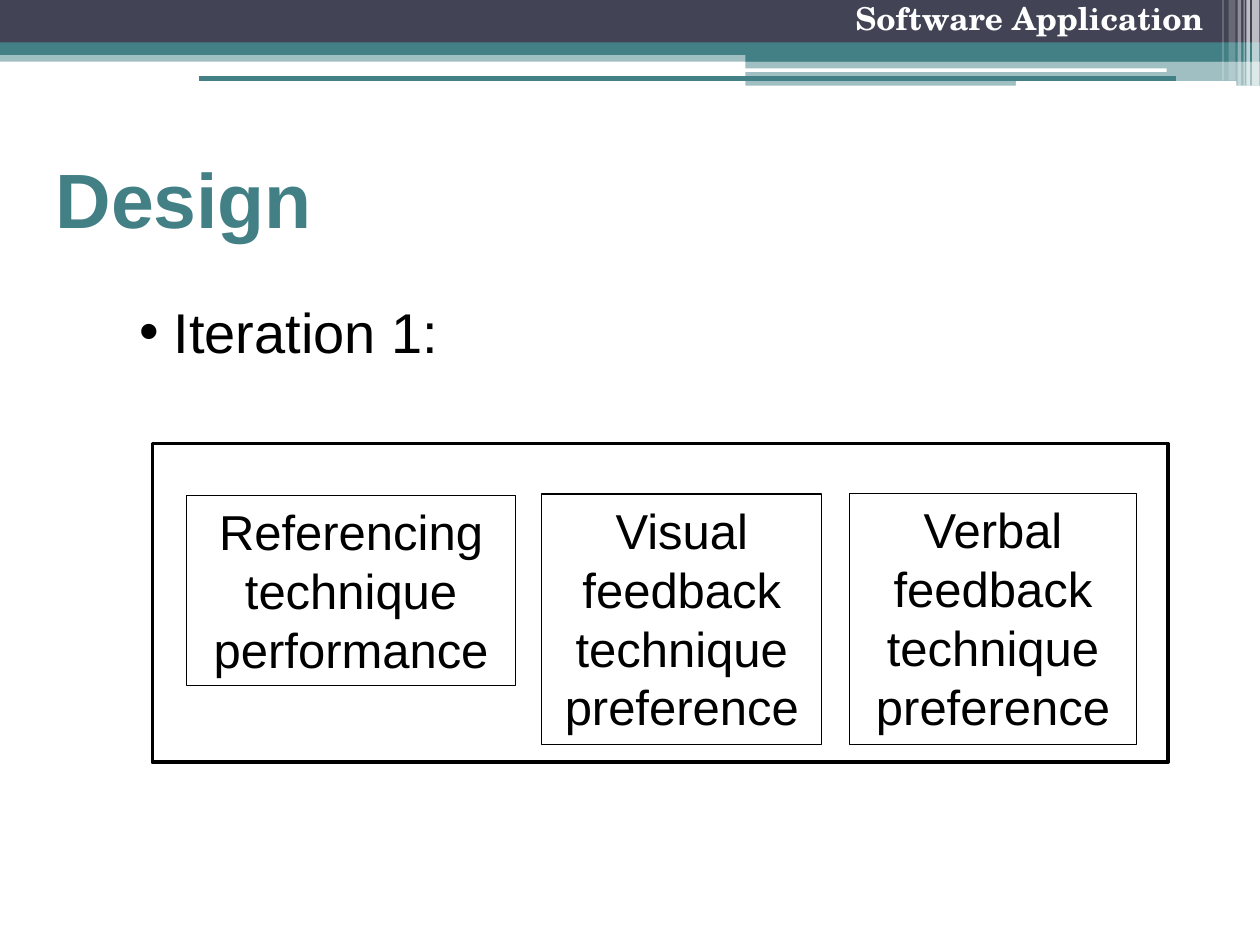
from lxml import etree
from pptx import Presentation
from pptx.dml.color import RGBColor
from pptx.enum.shapes import MSO_CONNECTOR, MSO_SHAPE
from pptx.enum.text import MSO_ANCHOR, MSO_AUTO_SIZE, PP_ALIGN
from pptx.oxml.ns import qn
from pptx.util import Pt

RECT, ROUND = MSO_SHAPE.RECTANGLE, MSO_SHAPE.ROUNDED_RECTANGLE
LEFT, CENTER, RIGHT = PP_ALIGN.LEFT, PP_ALIGN.CENTER, PP_ALIGN.RIGHT
TOP, MIDDLE = MSO_ANCHOR.TOP, MSO_ANCHOR.MIDDLE
W, H = 720, 540

THEME = {
    "teal": "438086", "navy": "424456", "white": "FFFFFF", "black": "000000",
    "font": "Arial", "header_font": "TeX Gyre Schola",
    "title": 44, "body": 32, "box": 28, "header": 18,
}

# Content
HEADER = "Software Application"
TITLE = "Design"
BULLET = "Iteration 1:"
BOXES = [  # left, top, width, height, paragraphs
    (106.6, 283, 188, 108.7, ["Referencing technique performance"]),
    (309.6, 282.4, 160, 143.1, ["Visual feedback technique", "preference"]),
    (485.3, 282, 164.2, 143.5, ["Verbal feedback", "technique", "preference"]),
]
FRAME = (87.1, 253.4, 580.3, 182.2)

# Banner: shape, left, top, width, height, colour, opacity in percent
BANNER = [
    (RECT, 0, 28.8, W, 6.5, "teal", 50),
    (RECT, 0, 0, W, 24.5, "navy", 100),
    (RECT, 0, 24.2, W, 7.2, "teal", 100),
    (RECT, 426, 28, 294, 7.2, "teal", 100),
    (RECT, 426, 34.8, 294, 14.1, "teal", 50),
    (ROUND, 425.5, 39.1, 241.2, 2, "white", 100),
    (ROUND, 580.5, 46.4, 126, 2.7, "white", 100),
]
STRIPES = [  # left, width, height, opacity in percent
    (715.5, 4.2, 49, 65), (712.2, 2, 49, 65), (710.6, 0.7, 49, 60),
    (707.2, 2, 49, 40), (702, 4, 46, 20), (698.5, 0.7, 46, 30),
]


def color(name):
    return RGBColor.from_string(THEME[name])


def place(sp, *box):
    sp.left, sp.top, sp.width, sp.height = (Pt(v) for v in box)


def add_shape(s, kind, box, fill=None, opacity=100, line=None):
    sp = s.shapes.add_shape(kind, *(Pt(v) for v in box))
    sp.shadow.inherit = False
    if fill:
        sp.fill.solid()
        sp.fill.fore_color.rgb = color(fill)
        if opacity < 100:
            clr = sp.fill._xPr.find(qn("a:solidFill"))[0]
            etree.SubElement(clr, qn("a:alpha"), val=str(opacity * 1000))
    else:
        sp.fill.background()
    if line:
        sp.line.color.rgb = color("black")
        sp.line.width = Pt(line)
    else:
        sp.line.fill.background()
    return sp


def write(sp, lines, size, clr="black", font="font", bold=False, align=LEFT, anchor=TOP):
    tf = sp.text_frame
    tf.word_wrap = True
    tf.auto_size = MSO_AUTO_SIZE.NONE
    tf.vertical_anchor = anchor
    for i, text in enumerate(lines):
        p = tf.add_paragraph() if i else tf.paragraphs[0]
        p.alignment = align
        r = p.add_run()
        r.text = text
        r.font.name, r.font.size, r.font.bold = THEME[font], Pt(THEME[size]), bold
        r.font.color.rgb = color(clr)
    return tf.paragraphs[0]


prs = Presentation()
prs.slide_width, prs.slide_height = Pt(W), Pt(H)
s = prs.slides.add_slide(prs.slide_layouts[1])
title, body = s.placeholders

# Banner and its light stripes
for kind, *box, fill, opacity in BANNER:
    add_shape(s, kind, box, fill, opacity)
for left, width, height, opacity in STRIPES:
    add_shape(s, RECT, (left, 0, width, height), "white", opacity)

# Header text
header = s.shapes.add_textbox(Pt(275), Pt(0), Pt(419.8), Pt(36))
p = write(header, [HEADER], "header", "white", "header_font", True, RIGHT)
p.line_spacing, p.space_before = 0.8, Pt(3.6)

# Rule under the banner
rule = s.shapes.add_connector(MSO_CONNECTOR.STRAIGHT, Pt(113.8), Pt(44.7), Pt(672), Pt(44.7))
rule.line.color.rgb = color("teal")
rule.line.width = Pt(3)
etree.SubElement(rule._element.spPr, qn("a:effectLst"))

# Title and bullet
place(title, 24.5, 70.6, 492.5, 85)
write(title, [TITLE], "title", "teal", bold=True, anchor=MIDDLE)
place(body, 40.3, 166.3, 651.6, 53.3)
p = write(body, [BULLET], "body")
p.level, p.space_before = 1, Pt(3)
pPr = p._p.get_or_add_pPr()
pPr.set("marL", str(Pt(51.8)))
pPr.set("indent", str(Pt(-19.4)))
etree.SubElement(pPr, qn("a:buChar"), char="•")

# Boxes inside a frame
for *box, lines in BOXES:
    sp = add_shape(s, RECT, box, line=0.75)
    write(sp, lines, "box", align=CENTER)
add_shape(s, RECT, FRAME, line=2)

prs.save("out.pptx")
